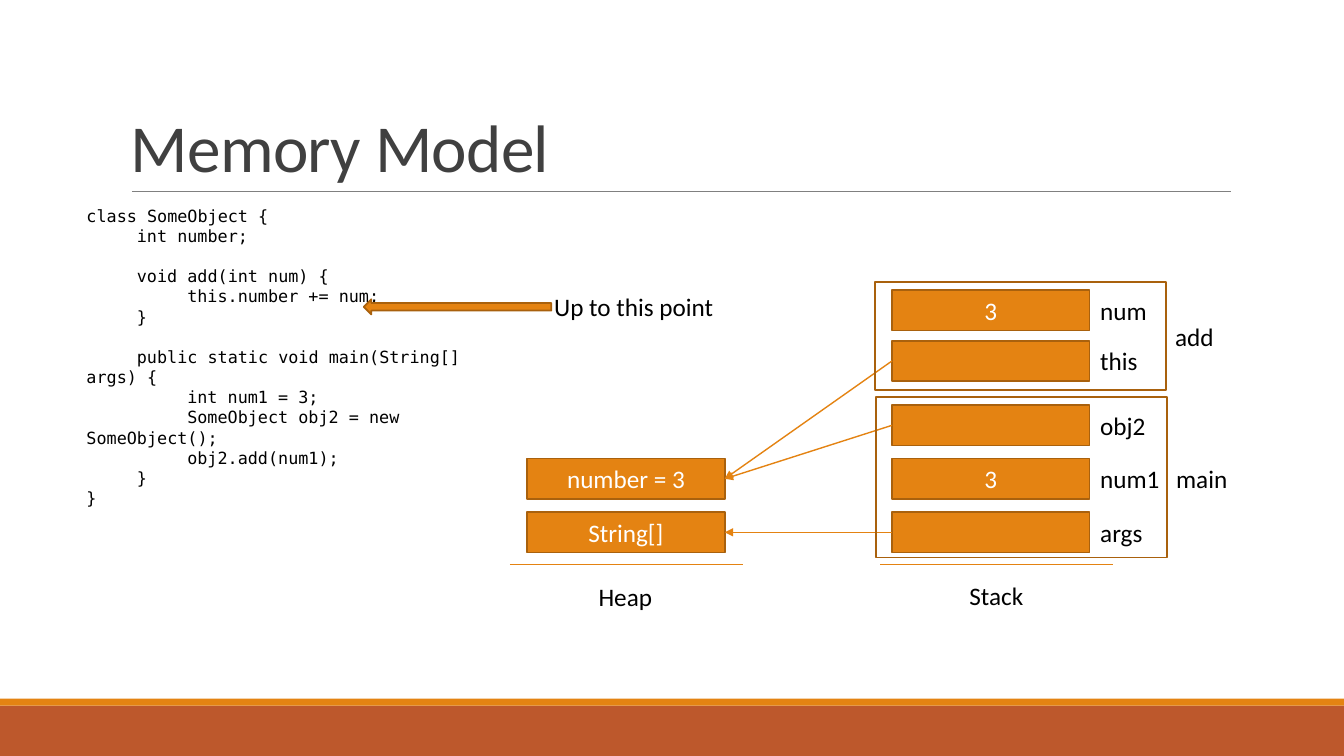
from dataclasses import dataclass
from typing import Optional

from lxml import etree
from pptx import Presentation
from pptx import util as u
from pptx.dml.color import RGBColor
from pptx.enum import shapes, text
from pptx.oxml.ns import qn


@dataclass(frozen=True)
class Theme:
    accent: str = "E48312"
    border: str = "A9610D"
    footer: str = "BD582C"
    rule: str = "808080"
    heading: str = "404040"
    ink: str = "000000"
    paper: str = "FFFFFF"
    sans: str = "Calibri"
    mono: str = "DejaVu Sans Mono"
    heading_size: float = 48
    label_size: float = 18
    code_size: float = 12
    border_width: float = 1.25


@dataclass(frozen=True)
class Box:
    left: float
    top: float
    width: float
    height: float

    @property
    def right(self) -> float:
        return self.left + self.width

    @property
    def middle(self) -> float:
        return self.top + self.height / 2

    def lengths(self) -> list:
        return [u.Pt(v) for v in (self.left, self.top, self.width, self.height)]


@dataclass(frozen=True)
class Variable:
    name: str
    value: str
    top: float
    label_width: float
    target: Optional[float] = None  # top of the heap cell it refers to


@dataclass(frozen=True)
class Frame:
    name: str
    box: Box
    label_top: float
    label_width: float


@dataclass(frozen=True)
class Region:
    name: str
    line_left: float
    caption_left: float
    caption_top: float


THEME = Theme()
CELL_WIDTH, CELL_HEIGHT = 141.1, 28.8
HEAP_LEFT, STACK_LEFT = 376.6, 637.2
BASE_Y, BASE_WIDTH = 403.2, 166.3
TAB = 36

ROW_ARGS, ROW_NUM1, ROW_OBJ2 = (365.8 - 38.2 * step for step in range(3))
ROW_THIS, ROW_NUM = 243.4, 207.4

HEAP = [(ROW_ARGS, "String[]"), (ROW_NUM1, "number = 3")]
STACK = [
    Variable("args", "", ROW_ARGS, 44.6, ROW_ARGS),
    Variable("num1", "3", ROW_NUM1, 57.6),
    Variable("obj2", "", ROW_OBJ2, 47.5, ROW_NUM1),
    Variable("this", "", ROW_THIS, 41.8, ROW_NUM1),
    Variable("num", "3", ROW_NUM, 48.2),
]
FRAMES = [
    Frame("main", Box(625.7, 283.7, 208, 114.5), 327.6, 51.8),
    Frame("add", Box(625, 201.6, 208, 77), 226.1, 42.5),
]
REGIONS = [
    Region("Heap", 364.3, 420.5, 411.8),
    Region("Stack", 628.6, 685.4, 411.1),
]
CODE = """class SomeObject {
\tint number;

\tvoid add(int num) {
\t\tthis.number += num;
\t}

\tpublic static void main(String[] args) {
\t\tint num1 = 3;
\t\tSomeObject obj2 = new SomeObject();
\t\tobj2.add(num1);
\t}
}"""


def apply(target, values: dict) -> None:
    for name, value in values.items():
        setattr(target, name, value)


def write(frame, content: str, color: str, size: float = THEME.label_size,
          font: str = THEME.sans, **para_format) -> list:
    """Fill a text frame, one paragraph a line, and return the paragraphs."""
    for index, line in enumerate(content.split("\n")):
        para = frame.add_paragraph() if index else frame.paragraphs[0]
        apply(para, para_format)
        apply(para.font, {"size": u.Pt(size), "name": font})
        if line:
            span = para.add_run()
            span.text = line
            apply(span.font, {"size": u.Pt(size), "name": font})
            span.font.color.rgb = RGBColor.from_string(color)
    return list(frame.paragraphs)


def add_block(page, box: Box, fill: Optional[str], border: Optional[str] = None,
              kind=shapes.MSO_SHAPE.RECTANGLE, content: str = "") -> None:
    shape = page.shapes.add_shape(kind, *box.lengths())
    shape.shadow.inherit = False
    if fill:
        shape.fill.solid()
        shape.fill.fore_color.rgb = RGBColor.from_string(fill)
    else:
        shape.fill.background()
    if border:
        shape.line.color.rgb = RGBColor.from_string(border)
        shape.line.width = u.Pt(THEME.border_width)
    else:
        shape.line.fill.background()
    if content:
        shape.text_frame.vertical_anchor = text.MSO_ANCHOR.MIDDLE
        write(shape.text_frame, content, THEME.paper, alignment=text.PP_ALIGN.CENTER)


def add_label(page, content: str, left: float, top: float, width: float) -> None:
    box = page.shapes.add_textbox(*Box(left, top, width, CELL_HEIGHT).lengths())
    apply(box.text_frame, {"word_wrap": False,
                           "auto_size": text.MSO_AUTO_SIZE.SHAPE_TO_FIT_TEXT})
    write(box.text_frame, content, THEME.ink)


def add_line(page, start: tuple, end: tuple, color: str = THEME.accent,
             width: float = 1, arrow: bool = False) -> None:
    line = page.shapes.add_connector(shapes.MSO_CONNECTOR.STRAIGHT,
                                     *(u.Pt(v) for v in (*start, *end)))
    line.line.color.rgb = RGBColor.from_string(color)
    line.line.width = u.Pt(width)
    if arrow:
        etree.SubElement(line.line._get_or_add_ln(), qn("a:tailEnd"), type="triangle")
    etree.SubElement(line._element.spPr, qn("a:effectLst"))


def add_heading(page) -> None:
    box = page.shapes.add_textbox(*Box(86.4, 22.3, 792, 114.5).lengths())
    apply(box.text_frame, {"word_wrap": True, "vertical_anchor": text.MSO_ANCHOR.BOTTOM})
    para = write(box.text_frame, "Memory Model", THEME.heading,
                 THEME.heading_size, line_spacing=0.85)[0]
    para.runs[0].font._element.set("spc", "-50")


def add_code(page) -> None:
    box = page.shapes.add_textbox(*Box(54.7, 143.3, 321.1, 220).lengths())
    box.text_frame.word_wrap = True
    for para in write(box.text_frame, CODE, THEME.ink, THEME.code_size, THEME.mono):
        properties = para._p.get_or_add_pPr()
        stops = etree.Element(qn("a:tabLst"))
        for level in (1, 2):
            etree.SubElement(stops, qn("a:tab"), pos=str(u.Pt(TAB * level)), algn="l")
        properties.insert(0, stops)


def add_memory(page) -> None:
    for region in REGIONS:
        add_line(page, (region.line_left, BASE_Y), (region.line_left + BASE_WIDTH, BASE_Y))
        add_label(page, region.name, region.caption_left, region.caption_top, 53.3)
    for top, content in HEAP:
        add_block(page, Box(HEAP_LEFT, top, CELL_WIDTH, CELL_HEIGHT),
                  THEME.accent, THEME.border, content=content)
    for variable in STACK:
        cell = Box(STACK_LEFT, variable.top, CELL_WIDTH, CELL_HEIGHT)
        add_block(page, cell, THEME.accent, THEME.border, content=variable.value)
        add_label(page, variable.name, cell.right + 0.5, cell.top, variable.label_width)
        if variable.target is not None:
            target = Box(HEAP_LEFT, variable.target, CELL_WIDTH, CELL_HEIGHT)
            add_line(page, (cell.left, cell.middle), (target.right, target.middle), arrow=True)
    for frame in FRAMES:
        add_block(page, frame.box, None, THEME.border)
        add_label(page, frame.name, frame.box.right - 0.7, frame.label_top, frame.label_width)


def main() -> None:
    deck = Presentation()
    apply(deck, {"slide_width": u.Pt(960), "slide_height": u.Pt(540)})
    page = deck.slides.add_slide(deck.slide_layouts[6])
    add_block(page, Box(0, 504, 960, 36), THEME.footer)
    add_block(page, Box(0, 499, 960, 5), THEME.accent)
    add_line(page, (94.3, 136.8), (879.1, 136.8), THEME.rule, 0.5)
    add_heading(page)
    add_code(page)
    add_memory(page)
    add_block(page, Box(259.9, 213.8, 133.9, 10.8), THEME.accent, THEME.border,
              shapes.MSO_SHAPE.LEFT_ARROW)
    add_label(page, "Up to this point", 388.8, 204.5, 129.6)
    deck.save("out.pptx")


if __name__ == "__main__":
    main()
